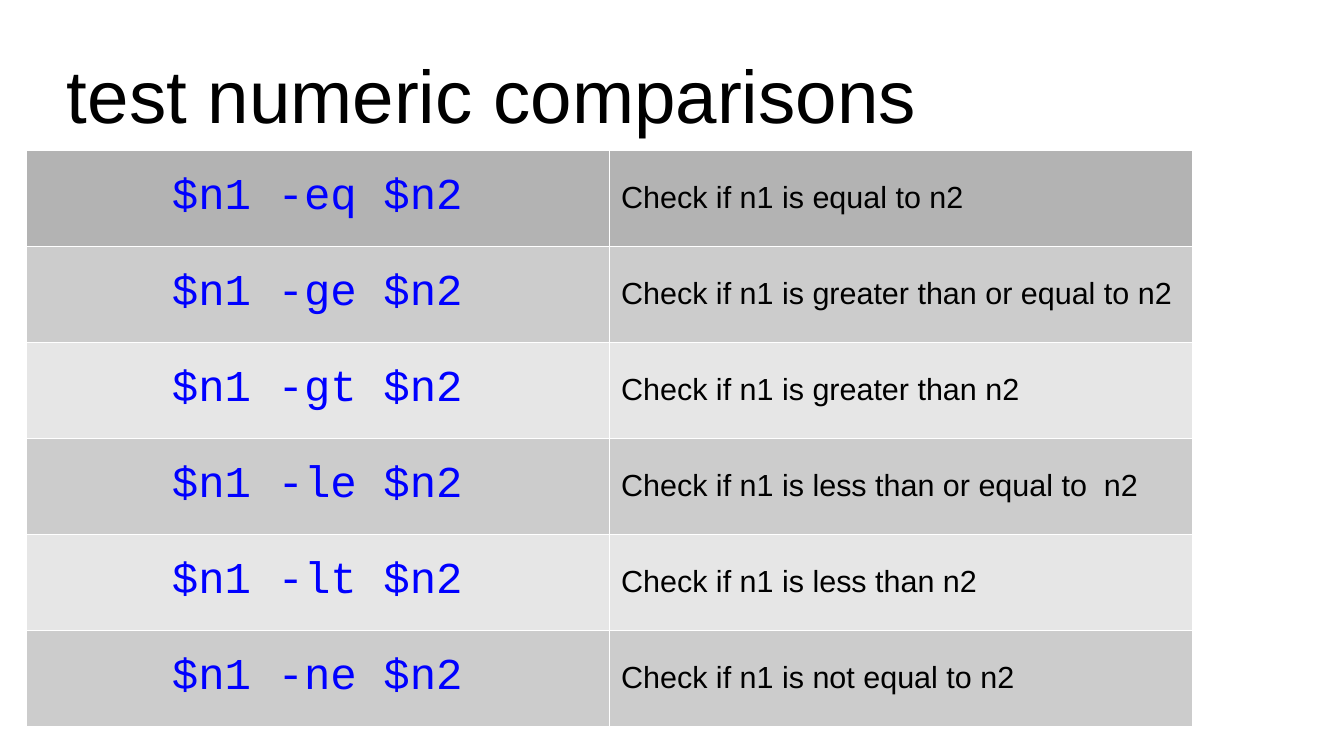
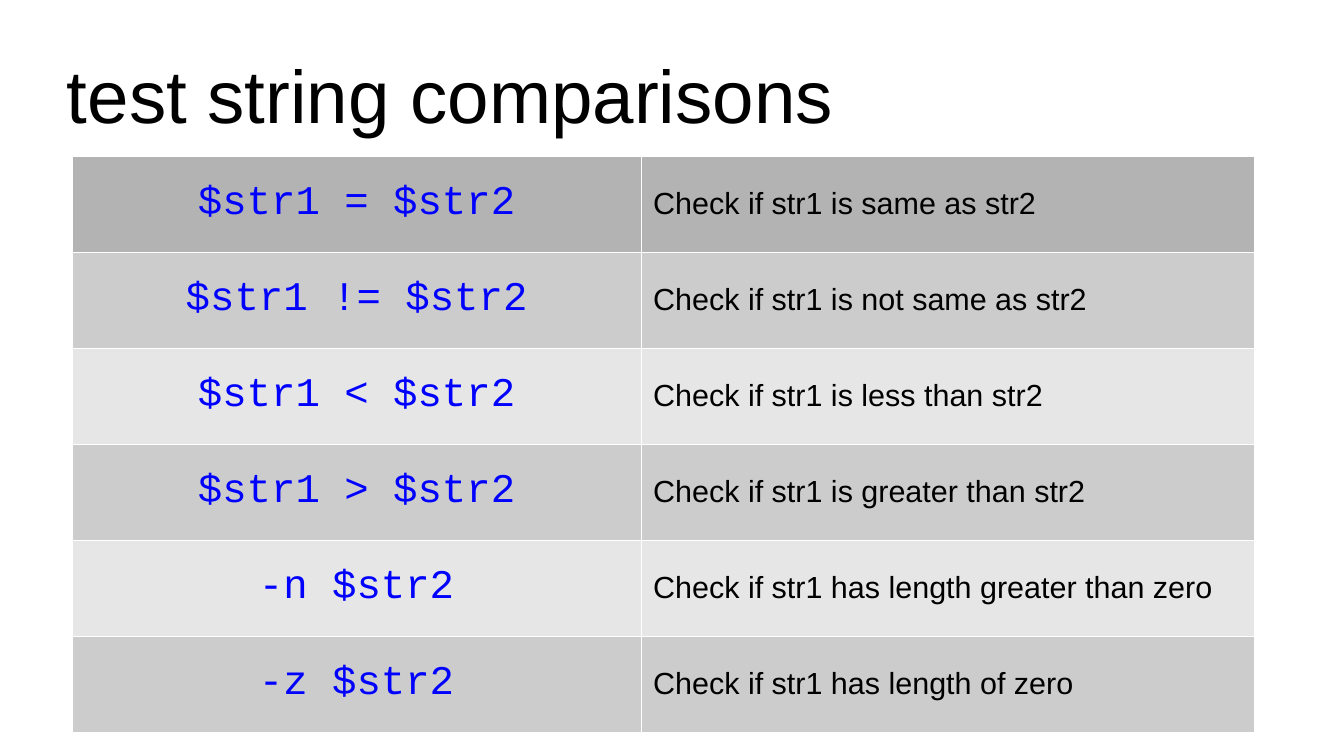
import dataclasses

import pptx
import pptx.dml.color
import pptx.enum.text
import pptx.oxml
import pptx.oxml.ns
import pptx.util

PX_PER_INCH = 122
MIDDLE = pptx.enum.text.MSO_ANCHOR.MIDDLE
LEFT = pptx.enum.text.PP_ALIGN.LEFT
CENTER = pptx.enum.text.PP_ALIGN.CENTER


@dataclasses.dataclass(frozen=True)
class Theme:
    background: str = "FFFFFF"
    text: str = "000000"
    code: str = "0000FF"
    border: str = "FFFFFF"
    header_fill: str = "B3B3B3"
    row_fills: tuple = ("E6E6E6", "CCCCCC")
    text_font: str = "Arial"
    code_font: str = "Courier New"
    title_size: int = 44
    description_size: int = 18
    border_width: float = 0.06


THEME = Theme()
SLIDE_SIZE = (1344, 756)
TITLE_BOX = (67, 30, 1210, 127)
ROW_HEIGHT = 96

NUMERIC_TESTS = [
    ("$n1 -eq $n2", "Check if n1 is equal to n2"),
    ("$n1 -ge $n2", "Check if n1 is greater than or equal to n2"),
    ("$n1 -gt $n2", "Check if n1 is greater than n2"),
    ("$n1 -le $n2", "Check if n1 is less than or equal to  n2"),
    ("$n1 -lt $n2", "Check if n1 is less than n2"),
    ("$n1 -ne $n2", "Check if n1 is not equal to n2"),
]
STRING_TESTS = [
    ("$str1 = $str2", "Check if str1 is same as str2"),
    ("$str1 != $str2", "Check if str1 is not same as str2"),
    ("$str1 < $str2", "Check if str1 is less than str2"),
    ("$str1 > $str2", "Check if str1 is greater than str2"),
    ("-n $str2", "Check if str1 has length greater than zero"),
    ("-z $str2", "Check if str1 has length of zero"),
]


def px(length):
    return pptx.util.Emu(round(length * 914400 / PX_PER_INCH))


def rgb(color):
    return pptx.dml.color.RGBColor.from_string(color)


def write_text(text_frame, text, *, size, font=THEME.text_font,
               color=THEME.text, align=LEFT):
    text_frame.word_wrap = True
    paragraph = text_frame.paragraphs[0]
    paragraph.alignment = align
    run = paragraph.add_run()
    run.text = text
    run.font.name = font
    run.font.size = pptx.util.Pt(size)
    run.font.bold = False
    run.font.color.rgb = rgb(color)


def add_title(slide, box, text):
    text_frame = slide.shapes.add_textbox(*map(px, box)).text_frame
    text_frame.margin_left = text_frame.margin_right = 0
    text_frame.margin_top = text_frame.margin_bottom = 0
    text_frame.vertical_anchor = MIDDLE
    write_text(text_frame, text, size=THEME.title_size)


def style_cell(cell, fill):
    """Draw the four hairline borders, then the fill that must follow them."""
    properties = cell._tc.get_or_add_tcPr()
    width = pptx.util.Pt(THEME.border_width)
    for side in ("lnL", "lnR", "lnT", "lnB"):
        properties.append(pptx.oxml.parse_xml(
            f'<a:{side} {pptx.oxml.ns.nsdecls("a")} w="{width}"><a:solidFill>'
            f'<a:srgbClr val="{THEME.border}"/></a:solidFill></a:{side}>'))
    cell.fill.solid()
    cell.fill.fore_color.rgb = rgb(fill)
    cell.vertical_anchor = MIDDLE


def add_test_table(slide, left, top, column_widths, tests, code_size):
    table = slide.shapes.add_table(
        len(tests), len(column_widths), px(left), px(top),
        px(sum(column_widths)), px(ROW_HEIGHT * len(tests))).table
    table.first_row = table.horz_banding = False
    for column, width in zip(table.columns, column_widths):
        column.width = px(width)
    for index, (code, description) in enumerate(tests):
        table.rows[index].height = px(ROW_HEIGHT)
        fill = THEME.row_fills[index % 2] if index else THEME.header_fill
        code_cell, description_cell = table.rows[index].cells
        style_cell(code_cell, fill)
        style_cell(description_cell, fill)
        write_text(code_cell.text_frame, code, size=code_size,
                   font=THEME.code_font, color=THEME.code, align=CENTER)
        write_text(description_cell.text_frame, description,
                   size=THEME.description_size)


def add_test_slide(presentation, title, **table_format):
    slide = presentation.slides.add_slide(presentation.slide_layouts[6])
    slide.background.fill.solid()
    slide.background.fill.fore_color.rgb = rgb(THEME.background)
    add_title(slide, TITLE_BOX, title)
    add_test_table(slide, **table_format)


def main():
    presentation = pptx.Presentation()
    presentation.slide_width, presentation.slide_height = map(px, SLIDE_SIZE)
    add_test_slide(presentation, "test numeric comparisons",
                   left=26, top=150, column_widths=(583, 583),
                   tests=NUMERIC_TESTS, code_size=26)
    add_test_slide(presentation, "test string comparisons",
                   left=72, top=156, column_widths=(569, 613),
                   tests=STRING_TESTS, code_size=24)
    presentation.save("out.pptx")


if __name__ == "__main__":
    main()
